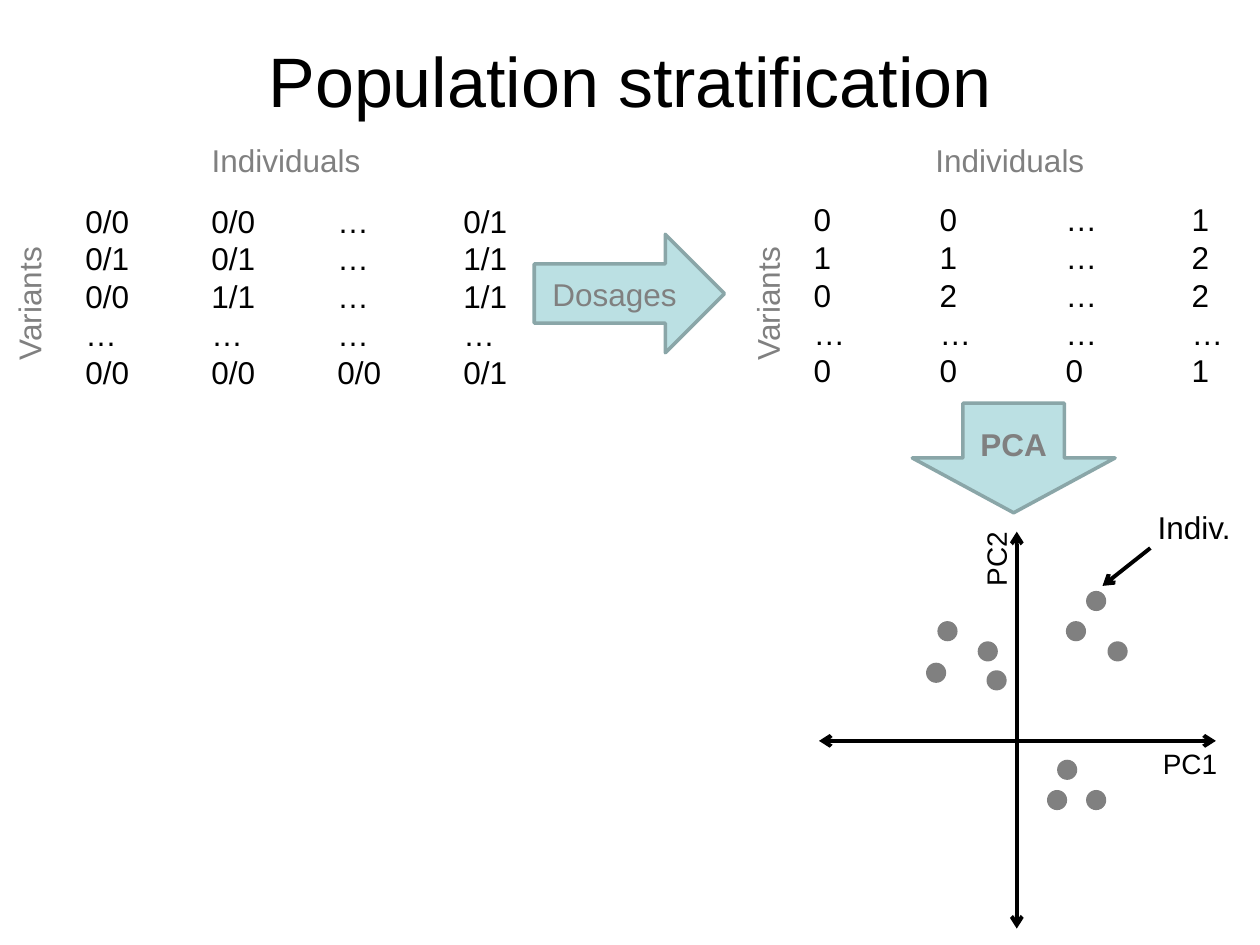
"""Build a slide showing how genotype dosages and PCA reveal population stratification."""
from dataclasses import dataclass

from lxml.etree import SubElement
from pptx import Presentation
from pptx.dml.color import RGBColor
from pptx.enum.shapes import MSO_CONNECTOR as Connector, MSO_SHAPE as Shape
from pptx.enum.text import MSO_ANCHOR as Anchor, PP_ALIGN as Align
from pptx.oxml.ns import qn
from pptx.util import Inches, Pt


@dataclass(frozen=True)
class Theme:
    font: str = "Arial"
    black: RGBColor = RGBColor(0, 0, 0)
    gray: RGBColor = RGBColor(0x80, 0x80, 0x80)
    arrow_fill: RGBColor = RGBColor(0xBB, 0xE0, 0xE3)
    arrow_line: RGBColor = RGBColor(0x8A, 0xA6, 0xA8)
    title: int = 40
    body: int = 18
    axis: int = 16


THEME = Theme()
TITLE = "Population stratification"
GENOTYPES = [
    ["0/0", "0/0", "…", "0/1"],
    ["0/1", "0/1", "…", "1/1"],
    ["0/0", "1/1", "…", "1/1"],
    ["…", "…", "…", "…"],
    ["0/0", "0/0", "0/0", "0/1"],
]
DOSAGES = [
    ["0", "0", "…", "1"],
    ["1", "1", "…", "2"],
    ["0", "2", "…", "2"],
    ["…", "…", "…", "…"],
    ["0", "0", "0", "1"],
]
COLUMN = 1
MATRICES = [
    (GENOTYPES, (0.58, 1.55), (0.5, 3.54), -0.52),
    (DOSAGES, (6.36, 1.54), (6.36, 3.31), 5.34),
]
STEPS = [
    ("Dosages", Shape.RIGHT_ARROW, (4.24, 1.86, 1.51, 0.94), False),
    ("PCA", Shape.DOWN_ARROW, (7.24, 3.2, 1.61, 0.87), True),
]
LABELS = [
    ("PC1", (9.13, 5.88, 0.79, 0.37), 0, THEME.axis),
    ("PC2", (7.51, 4.17, 0.79, 0.37), 270, THEME.axis),
    ("Indiv.", (9.09, 3.98, 0.94, 0.4), 0, THEME.body),
]
BOTH_ENDS = ["headEnd", "tailEnd"]
LINES = [
    ((8.07, 7.37), (8.07, 4.22), BOTH_ENDS),
    ((6.5, 5.88), (9.65, 5.88), BOTH_ENDS),
    ((9.13, 4.35), (8.75, 4.65), ["tailEnd"]),
]
DOT = 0.16
CLUSTERS = [
    [(8.62, 4.69), (8.46, 4.93), (8.79, 5.09)],
    [(8.62, 6.27), (8.39, 6.03), (8.31, 6.27)],
    [(7.35, 5.26), (7.83, 5.32), (7.76, 5.09), (7.44, 4.93)],
]


def inches(box):
    return [Inches(length) for length in box]


def write(shape, text, size, color, align=Align.LEFT, bold=False):
    frame = shape.text_frame
    frame.text = text
    for paragraph in frame.paragraphs:
        paragraph.alignment = align
        for run in paragraph.runs:
            font = run.font
            font.name, font.size, font.bold = THEME.font, Pt(size), bold
            font.color.rgb = color


def add_label(slide, text, box, size=THEME.body, color=THEME.black, align=Align.LEFT, rotation=0):
    label = slide.shapes.add_textbox(*inches(box))
    label.rotation = rotation
    label.text_frame.word_wrap = True
    write(label, text, size, color, align)
    return label


def set_tab_stops(paragraph, count):
    tab_list = SubElement(paragraph._p.get_or_add_pPr(), qn("a:tabLst"))
    for column in range(1, count + 1):
        SubElement(tab_list, qn("a:tab"), pos=str(Inches(column * COLUMN)), algn="l")


def add_matrix(slide, rows, corner, heading, side_left):
    text = "\n".join("\t".join(row) for row in rows)
    matrix = add_label(slide, text, (*corner, 3.62, 1.62))
    for paragraph in matrix.text_frame.paragraphs:
        set_tab_stops(paragraph, len(rows[0]) - 1)
    left, width = heading
    add_label(slide, "Individuals", (left, 1.07, width, 0.4), color=THEME.gray, align=Align.CENTER)
    add_label(slide, "Variants", (side_left, 2.21, 1.5, 0.4), color=THEME.gray,
              align=Align.CENTER, rotation=270)


def add_step(slide, text, kind, box, bold):
    arrow = slide.shapes.add_shape(kind, *inches(box))
    arrow.shadow.inherit = False
    arrow.fill.solid()
    arrow.fill.fore_color.rgb = THEME.arrow_fill
    arrow.line.color.rgb = THEME.arrow_line
    arrow.line.width = Pt(2)
    arrow.text_frame.word_wrap = False
    arrow.text_frame.vertical_anchor = Anchor.MIDDLE
    write(arrow, text, THEME.body, THEME.gray, Align.CENTER, bold)


def add_line(slide, start, end, ends):
    connector = slide.shapes.add_connector(Connector.STRAIGHT, *inches((*start, *end)))
    connector.line.color.rgb = THEME.black
    connector.line.width = Pt(2.25)
    outline = connector.line._get_or_add_ln()
    for end_name in ends:
        SubElement(outline, qn(f"a:{end_name}"), type="arrow")
    SubElement(connector._element.spPr, qn("a:effectLst"))


def add_dot(slide, left, top):
    dot = slide.shapes.add_shape(Shape.OVAL, *inches((left, top, DOT, DOT)))
    dot.shadow.inherit = False
    dot.fill.solid()
    dot.fill.fore_color.rgb = THEME.gray
    dot.line.fill.background()


def main():
    presentation = Presentation()
    presentation.slide_width, presentation.slide_height = inches((10, 7.5))
    slide = presentation.slides.add_slide(presentation.slide_layouts[5])
    title = slide.shapes.title
    title.left, title.top, title.width, title.height = inches((0.5, 0.01, 9, 1.25))
    title.text_frame.vertical_anchor = Anchor.MIDDLE
    write(title, TITLE, THEME.title, THEME.black, Align.CENTER)

    for matrix in MATRICES:
        add_matrix(slide, *matrix)
    for line in LINES:
        add_line(slide, *line)
    for cluster in CLUSTERS:
        for left, top in cluster:
            add_dot(slide, left, top)
    for step in STEPS:
        add_step(slide, *step)
    for text, box, rotation, size in LABELS:
        add_label(slide, text, box, size, rotation=rotation)
    presentation.save("out.pptx")


if __name__ == "__main__":
    main()
